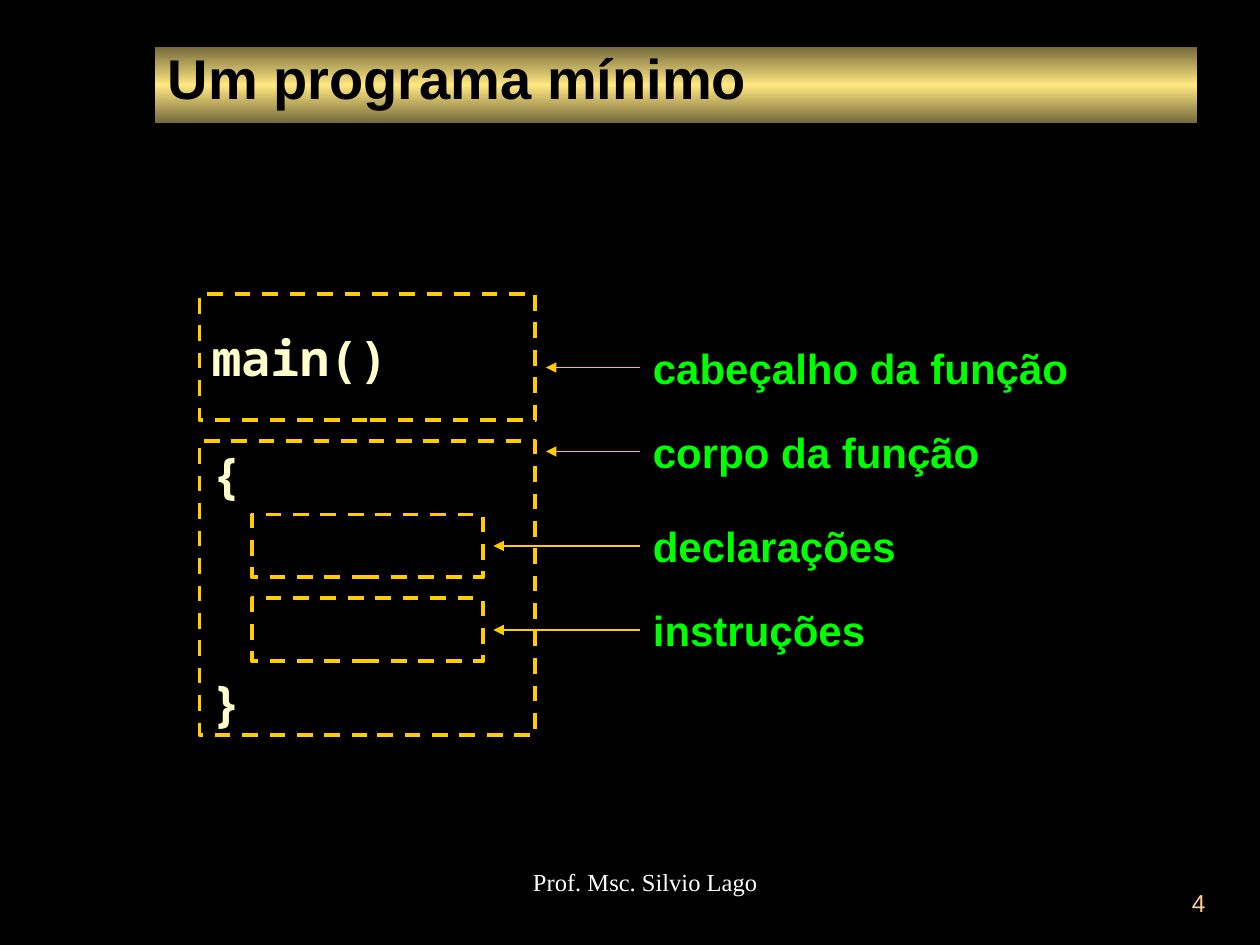
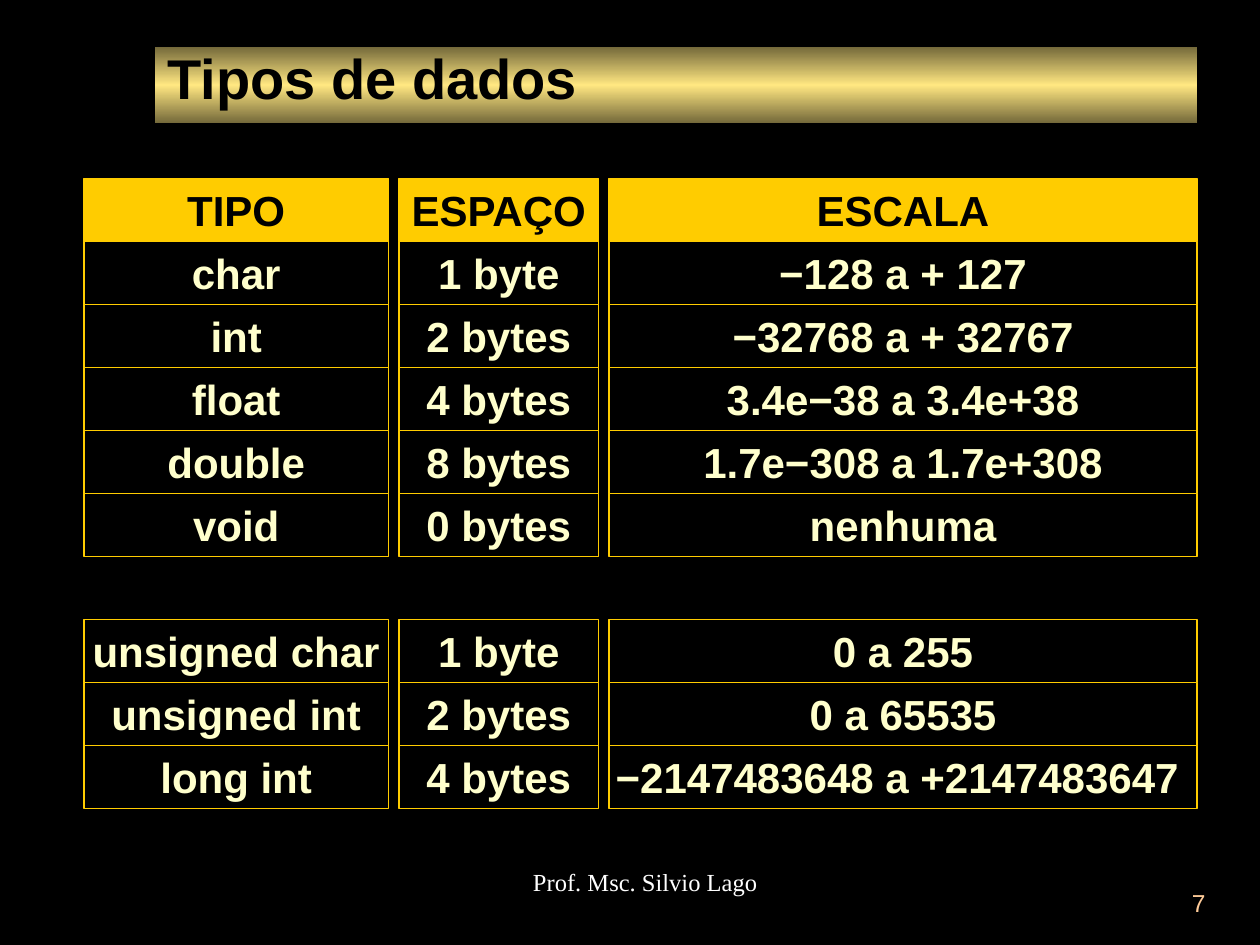
from copy import deepcopy

from pptx import Presentation
from pptx.dml.color import RGBColor
from pptx.enum.dml import MSO_LINE
from pptx.enum.shapes import MSO_CONNECTOR, MSO_SHAPE
from pptx.enum.text import MSO_ANCHOR, MSO_AUTO_SIZE, PP_ALIGN
from pptx.oxml.ns import qn
from pptx.util import Inches, Pt

UNIT = Inches(1) / 12  # the slide is a grid of 120 columns and 90 rows
COLUMNS, ROWS = 120, 90

BLACK, WHITE = "000000", "FFFFFF"
GOLD, CREAM, GREEN, PEACH = "FFCC00", "FFFFCC", "00FF00", "FFCC99"
BAND_STOPS = [(0, "73683A"), (0.5, "FFE781"), (1, "73683A")]

TITLE = {"name": "Arial", "size": 32, "bold": True, "color": BLACK}
CODE = {"name": "Noto Sans Mono", "size": 28, "bold": True, "color": CREAM}
LABEL = {"name": "Arial", "size": 24, "bold": True, "color": GREEN}
CELL = LABEL | {"color": CREAM}
HEADING = LABEL | {"color": BLACK}
AUTHOR = {"name": "Times New Roman", "size": 14, "bold": False, "color": WHITE}
NUMBER = {"name": "Arial", "size": 14, "bold": False, "color": PEACH}

BOX_WIDTH = 32
LABEL_LEFT, LABEL_WIDTH, LABEL_HEIGHT = 42, 49, 10
BRACE_GAP = 97  # points between the opening and the closing brace
# text lines, label, label middle, box as left, top, width, height
FUNCTION_PARTS = [
    (["main()"], "cabeçalho da função", 7, (0, 0, BOX_WIDTH, 12)),
    (["{", "}"], "corpo da função", 15, (0, 14, BOX_WIDTH, 28)),
    ([], "declarações", 24, (5, 21, 22, 6)),
    ([], "instruções", 32, (5, 29, 22, 6)),
]

ROW_HEIGHT, COLUMN_GAP = 6, 1
# None leaves a free row between the basic and the modified types
TYPE_COLUMNS = [
    (29, ["TIPO", "char", "int", "float", "double", "void", None,
          "unsigned char", "unsigned int", "long int"]),
    (19, ["ESPAÇO", "1 byte", "2 bytes", "4 bytes", "8 bytes", "0 bytes", None,
          "1 byte", "2 bytes", "4 bytes"]),
    (56, ["ESCALA", "−128 a + 127", "−32768 a + 32767", "3.4e−38 a 3.4e+38",
          "1.7e−308 a 1.7e+308", "nenhuma", None,
          "0 a 255", "0 a 65535", "−2147483648 a +2147483647 "]),
]


def rgb(value):
    return RGBColor.from_string(value)


def grid(*values):
    """Turn grid columns or rows into lengths."""
    return [round(value * UNIT) for value in values]


def write(shape, lines, style, align=PP_ALIGN.LEFT, gap=0, **frame_format):
    """Set the lines of a shape, with gap points before each later line."""
    frame = shape.text_frame
    settings = {"word_wrap": False, "vertical_anchor": MSO_ANCHOR.MIDDLE,
                "auto_size": MSO_AUTO_SIZE.NONE} | frame_format
    for name, value in settings.items():
        setattr(frame, name, value)
    for index, line in enumerate(lines):
        paragraph = frame.add_paragraph() if index else frame.paragraphs[0]
        paragraph.alignment = align
        paragraph.space_before = Pt(gap if index else 0)
        run = paragraph.add_run()
        run.text = line
        for name in ("name", "bold"):
            setattr(run.font, name, style[name])
        run.font.size = Pt(style["size"])
        run.font.color.rgb = rgb(style["color"])


def add_box(shapes, box, line_width, fill=None, dash=None):
    shape = shapes.add_shape(MSO_SHAPE.RECTANGLE, *grid(*box))
    shape.shadow.inherit = False
    if fill:
        shape.fill.solid()
        shape.fill.fore_color.rgb = rgb(fill)
    else:
        shape.fill.background()
    shape.line.color.rgb = rgb(GOLD)
    shape.line.width = Pt(line_width)
    shape.line.dash_style = dash
    return shape


def add_text(slide, box, text, style, **options):
    shape = slide.shapes.add_textbox(*grid(*box))
    write(shape, [text], style, **options)
    return shape


def add_arrow(slide, label, tip, middle):
    """Draw an arrow from the left side of a label to a tip on the same row."""
    x, y = grid(tip, middle)
    arrow = slide.shapes.add_connector(MSO_CONNECTOR.STRAIGHT, label.left, y, x, y)
    arrow.begin_connect(label, 1)
    arrow.line.color.rgb = rgb(GOLD)
    arrow.line.width = Pt(0.75)
    outline = arrow.line._get_or_add_ln()
    outline.append(outline.makeelement(qn("a:tailEnd"), {"type": "triangle"}))
    properties = arrow._element.spPr
    properties.append(properties.makeelement(qn("a:effectLst"), {}))


def format_title(title, text):
    for name, value in zip(("left", "top", "width", "height"), (1.23, 0.37, 8.27, 0.61)):
        setattr(title, name, Inches(value))
    title.fill.gradient()
    title.fill.gradient_angle = 90
    stops = title._element.spPr.find(".//" + qn("a:gsLst"))
    stops.append(deepcopy(stops[0]))
    for stop, (position, color) in zip(title.fill.gradient_stops, BAND_STOPS):
        stop.position = position
        stop.color.rgb = rgb(color)
    write(title, [text], TITLE, word_wrap=True, margin_left=Inches(0.1),
          margin_right=Inches(0.1), margin_top=0, margin_bottom=Inches(0.13))


def add_footer(slide, number):
    options = {"word_wrap": True, "vertical_anchor": MSO_ANCHOR.TOP}
    add_text(slide, (41, 82, 38, 6), "Prof. Msc. Silvio Lago", AUTHOR,
             align=PP_ALIGN.CENTER, margin_left=Inches(0.34), **options)
    add_text(slide, (91, 84, 25, 6), str(number), NUMBER,
             align=PP_ALIGN.RIGHT, **options)


def add_function_diagram(slide, left, top):
    for lines, _, _, (x, y, width, height) in FUNCTION_PARTS:
        box = add_box(slide.shapes, (left + x, top + y, width, height), 2.25,
                      dash=MSO_LINE.DASH)
        write(box, lines, CODE, gap=BRACE_GAP)
    for _, text, middle, (x, _, width, _) in FUNCTION_PARTS:
        label_top = top + middle - LABEL_HEIGHT / 2
        label = add_text(slide, (left + LABEL_LEFT, label_top, LABEL_WIDTH, LABEL_HEIGHT),
                         text, LABEL)
        add_arrow(slide, label, left + x + width + 1, top + middle)


def add_type_columns(slide, left, top):
    for width, texts in TYPE_COLUMNS:
        column = slide.shapes.add_group_shape()
        for row, text in enumerate(texts):
            if text is None:
                continue
            box = (left, top + row * ROW_HEIGHT, width, ROW_HEIGHT)
            cell = add_box(column.shapes, box, 0.75, fill=None if row else GOLD)
            write(cell, [text], CELL if row else HEADING, align=PP_ALIGN.CENTER)
        left += width + COLUMN_GAP


def main():
    presentation = Presentation()
    presentation.slide_width, presentation.slide_height = grid(COLUMNS, ROWS)
    background = presentation.slide_master.background.fill
    background.solid()
    background.fore_color.rgb = rgb(BLACK)
    title_only = presentation.slide_layouts[5]
    for title, number, add_content, left, top in [
        ("Um programa mínimo", 4, add_function_diagram, 19, 28),
        ("Tipos de dados", 7, add_type_columns, 8, 17),
    ]:
        slide = presentation.slides.add_slide(title_only)
        format_title(slide.shapes.title, title)
        add_content(slide, left, top)
        add_footer(slide, number)
    presentation.save("out.pptx")


if __name__ == "__main__":
    main()
